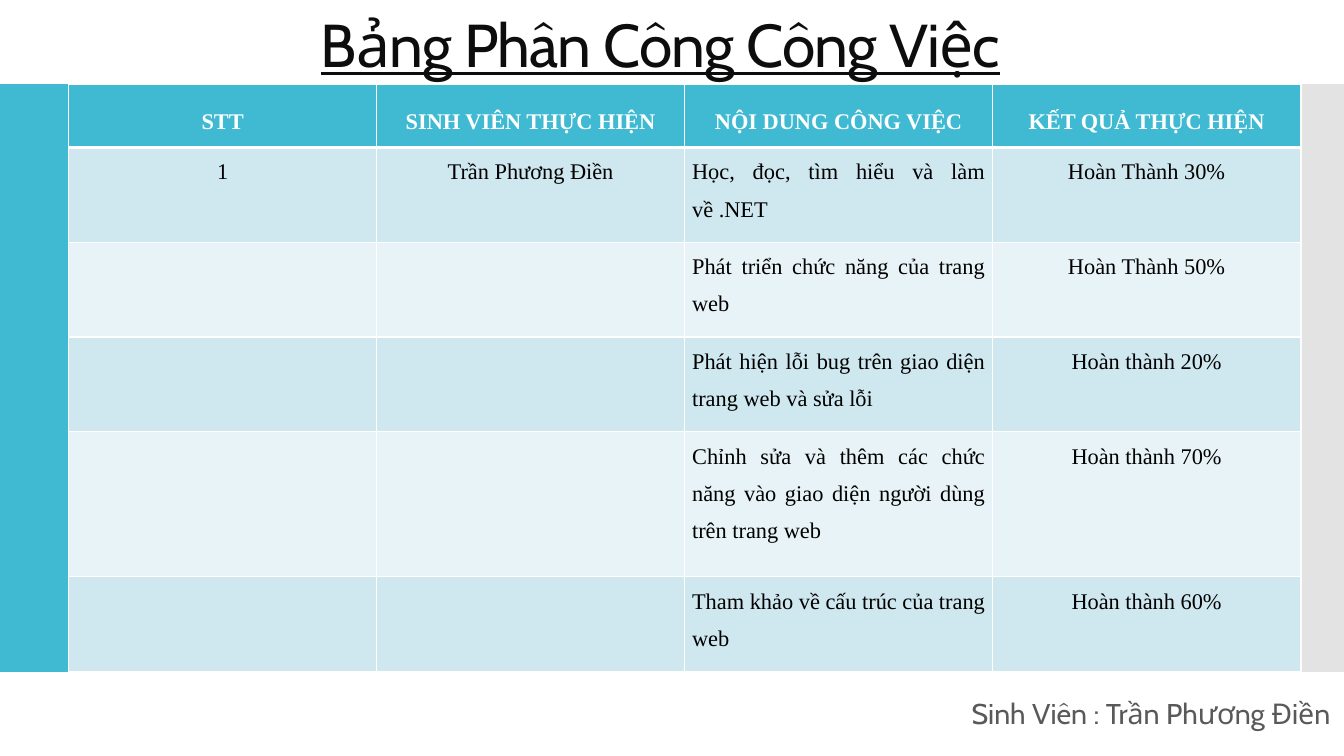
from dataclasses import dataclass

from lxml.etree import SubElement
from pptx import Presentation
from pptx.dml.color import RGBColor
from pptx.enum.shapes import MSO_SHAPE as Shape
from pptx.enum.text import MSO_ANCHOR as Anchor, MSO_AUTO_SIZE as AutoSize, PP_ALIGN as Align
from pptx.oxml.ns import qn
from pptx.util import Pt


@dataclass(frozen=True)
class Theme:
    teal: str = "40BAD2"
    grey: str = "C8C8C8"
    white: str = "FFFFFF"
    black: str = "000000"
    title_ink: str = "0D0D0D"
    author_ink: str = "595959"
    bands: tuple = ("CFE7EE", "E8F3F7")
    heading_font: str = "Cabin"
    table_font: str = "Times New Roman"
    title_size: float = 43.2
    author_size: float = 20.4
    table_size: float = 16


THEME = Theme()

HEADERS = ["STT", "SINH VIÊN THỰC HIỆN", "NỘI DUNG CÔNG VIỆC", "KẾT QUẢ THỰC HIỆN"]
TASKS = [
    ["1", "Trần Phương Điền", "Học, đọc, tìm hiểu và làm về .NET", "Hoàn Thành 30%"],
    ["", "", "Phát triển chức năng của trang web", "Hoàn Thành 50%"],
    ["", "", "Phát hiện lỗi bug trên giao diện trang web và sửa lỗi", "Hoàn thành 20%"],
    ["", "", "Chỉnh sửa và thêm các chức năng vào giao diện người dùng trên trang web",
     "Hoàn thành 70%"],
    ["", "", "Tham khảo về cấu trúc của trang web", "Hoàn thành 60%"],
]
ROW_HEIGHTS = [44.8, 67.7, 67.7, 67.7, 103.7, 67.7]
TASK_COLUMN = 2


def points(box):
    return [Pt(length) for length in box]


def style(font, name, size, color, bold=False):
    font.name, font.size, font.bold = name, Pt(size), bold
    font.color.rgb = RGBColor.from_string(color)


def add_band(slide, box, color, opacity=100):
    band = slide.shapes.add_shape(Shape.RECTANGLE, *points(box))
    band.shadow.inherit = False
    band.line.fill.background()
    band.fill.solid()
    band.fill.fore_color.rgb = RGBColor.from_string(color)
    if opacity < 100:
        tint = band.fill._xPr.find(".//" + qn("a:srgbClr"))
        SubElement(tint, qn("a:alpha"), val=str(opacity * 1000))


def add_side_bands(slide, box):
    left, top, width, height = box
    add_band(slide, (left, top, 271.5, height), THEME.teal)
    add_band(slide, (left + width - 30, top, 30, height), THEME.grey, opacity=50)


def fill_title(slide, box):
    title = slide.shapes.title
    title.left, title.top, title.width, title.height = points(box)
    frame = title.text_frame
    frame.text = "Bảng Phân Công Công Việc"
    frame.auto_size = AutoSize.NONE
    frame.vertical_anchor = Anchor.MIDDLE
    heading = frame.paragraphs[0]
    heading.alignment, heading.line_spacing = Align.LEFT, 0.9
    run = heading.runs[0]
    style(run.font, THEME.heading_font, THEME.title_size, THEME.title_ink)
    run.font.underline = True
    run.font._element.set("spc", "-60")


def add_borders(cell, top=1, bottom=1):
    props = cell._tc.get_or_add_tcPr()
    for side, width in {"L": 1, "R": 1, "T": top, "B": bottom}.items():
        border = SubElement(props, qn(f"a:ln{side}"), w=str(Pt(width)))
        SubElement(SubElement(border, qn("a:solidFill")), qn("a:srgbClr"), val=THEME.white)


def fill_cell(cell, text, row, column):
    is_header = row == 0
    add_borders(cell, top=3 if row == 1 else 1, bottom=3 if is_header else 1)
    cell.fill.solid()
    color = THEME.teal if is_header else THEME.bands[(row - 1) % 2]
    cell.fill.fore_color.rgb = RGBColor.from_string(color)
    cell.margin_left = cell.margin_right = Pt(5.4)
    cell.margin_top = cell.margin_bottom = 0
    cell.vertical_anchor = Anchor.MIDDLE if is_header else Anchor.TOP
    if not text:
        return
    cell.text_frame.text = text
    entry = cell.text_frame.paragraphs[0]
    is_task = column == TASK_COLUMN and not is_header
    entry.alignment = Align.JUSTIFY if is_task else Align.CENTER
    entry.line_spacing, entry.space_after = 1.5, Pt(8)
    style(entry.runs[0].font, THEME.table_font, THEME.table_size,
          THEME.white if is_header else THEME.black, bold=is_header)


def add_assignments(slide, box):
    rows = [HEADERS, *TASKS]
    table = slide.shapes.add_table(len(rows), len(HEADERS), *points(box)).table
    for column in table.columns:
        column.width = Pt(box[2] / len(HEADERS))
    for r, (texts, height) in enumerate(zip(rows, ROW_HEIGHTS)):
        table.rows[r].height = Pt(height)
        for c, text in enumerate(texts):
            fill_cell(table.cell(r, c), text, r, c)


def add_author(slide, box):
    frame = slide.shapes.add_textbox(*points(box)).text_frame
    frame.word_wrap = True
    frame.text = "Sinh Viên : Trần Phương Điền"
    author = frame.paragraphs[0]
    author.line_spacing = 0.7
    style(author.runs[0].font, THEME.heading_font, THEME.author_size, THEME.author_ink)


def build_assignment_slide(deck):
    slide = deck.slides.add_slide(deck.slide_layouts[5])
    # Background bands
    add_side_bands(slide, (0, 60, 960, 420))
    # Title
    fill_title(slide, (222, 0, 534, 68))
    # Work assignment table
    add_assignments(slide, (49, 60.5, 880, sum(ROW_HEIGHTS)))
    # Author line
    add_author(slide, (687, 500.4, 281.5, 26))


def main():
    deck = Presentation()
    deck.slide_width, deck.slide_height = Pt(960), Pt(540)
    build_assignment_slide(deck)
    deck.save("out.pptx")


if __name__ == "__main__":
    main()
